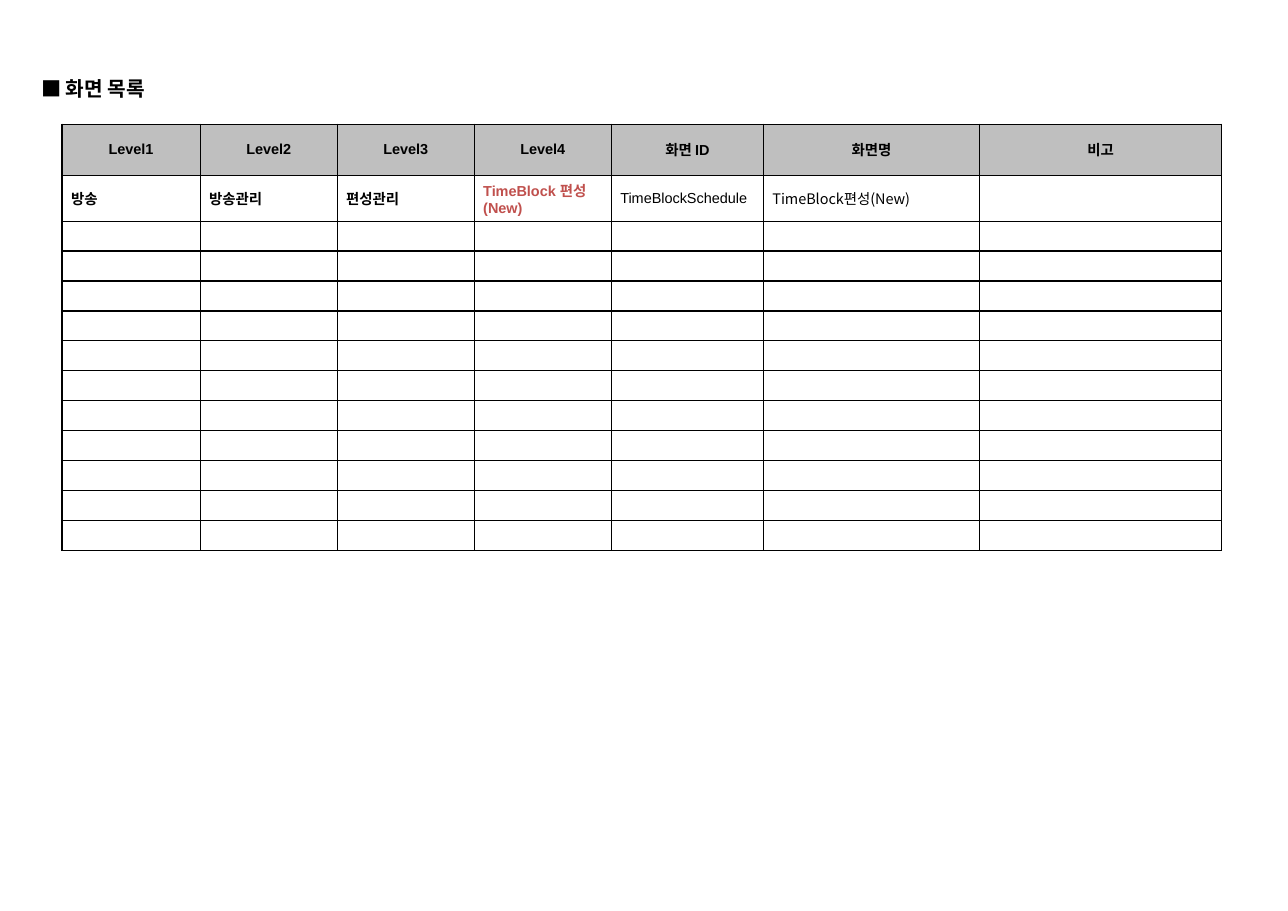
from dataclasses import dataclass

from lxml.etree import SubElement
from pptx import Presentation
from pptx.dml.color import RGBColor
from pptx.enum.text import MSO_ANCHOR, MSO_AUTO_SIZE, PP_ALIGN
from pptx.oxml import parse_xml
from pptx.oxml.ns import nsdecls, qn
from pptx.util import Pt

EMU_PER_PX = 914400 / 104
LATIN = "Arial"
KOREAN = "Noto Sans CJK KR"
COLORS = {"ink": "000000", "header": "BFBFBF", "new": "C0504D"}
COLUMN_WIDTHS = [138, 137, 137, 137, 152, 216, 242]
HEADER_HEIGHT, ENTRY_HEIGHT = 51, 46
EMPTY_ROWS, EMPTY_ROWS_HEIGHT = 11, 329
HEADERS = ["Level1", "Level2", "Level3", "Level4", "화면 ID", "화면명", "비고"]


@dataclass(frozen=True)
class Entry:
    text: str
    color: str = "ink"
    bold: bool = True
    font: str = LATIN


SCREEN = [
    Entry("방송"),
    Entry("방송관리"),
    Entry("편성관리"),
    Entry("TimeBlock 편성(New)", color="new"),
    Entry("TimeBlockSchedule", bold=False),
    Entry("TimeBlock편성(New)", bold=False, font=KOREAN),
]


def px(length: int) -> int:
    return round(length * EMU_PER_PX)


def write(para, entry: Entry, size: int) -> None:
    para.text = entry.text
    font = para.font
    font.size = Pt(size)
    font.bold = entry.bold
    font.color.rgb = RGBColor.from_string(COLORS[entry.color])
    font.name = entry.font
    SubElement(font._rPr, qn("a:ea"), typeface=KOREAN)


def add_borders(cell) -> None:
    properties = cell._tc.get_or_add_tcPr()
    for index, side in enumerate(("lnL", "lnR", "lnT", "lnB")):
        border = parse_xml(
            f'<a:{side} {nsdecls("a")} w="{Pt(1)}"><a:solidFill>'
            f'<a:srgbClr val="{COLORS["ink"]}"/></a:solidFill></a:{side}>'
        )
        properties.insert(index, border)


def format_cell(cell) -> None:
    cell.vertical_anchor = MSO_ANCHOR.MIDDLE
    cell.margin_left = cell.margin_right = px(9)
    cell.margin_top = cell.margin_bottom = px(4)
    cell.fill.background()
    add_borders(cell)
    end = cell.text_frame.paragraphs[0]._p.get_or_add_endParaRPr()
    end.set("sz", "1000")


def add_title(page) -> None:
    box = page.shapes.add_textbox(px(29), px(70), px(140), px(36))
    frame = box.text_frame
    frame.word_wrap = False
    frame.auto_size = MSO_AUTO_SIZE.SHAPE_TO_FIT_TEXT
    frame.margin_left = frame.margin_right = px(12)
    frame.margin_top = frame.margin_bottom = px(6)
    write(frame.paragraphs[0], Entry("■ 화면 목록", font=KOREAN), 14)


def add_screen_table(page) -> None:
    row_heights = [px(HEADER_HEIGHT), px(ENTRY_HEIGHT)]
    row_heights += [px(EMPTY_ROWS_HEIGHT) // EMPTY_ROWS] * EMPTY_ROWS
    table = page.shapes.add_table(
        len(row_heights), len(COLUMN_WIDTHS),
        px(62), px(124), px(sum(COLUMN_WIDTHS)), sum(row_heights),
    ).table
    table.first_row = table.horz_banding = False
    for column, width in zip(table.columns, COLUMN_WIDTHS):
        column.width = px(width)
    for row, height in zip(table.rows, row_heights):
        row.height = height
    for cell in table.iter_cells():
        format_cell(cell)
    for column, header in enumerate(HEADERS):
        cell = table.cell(0, column)
        cell.fill.solid()
        cell.fill.fore_color.rgb = RGBColor.from_string(COLORS["header"])
        para = cell.text_frame.paragraphs[0]
        para.alignment = PP_ALIGN.CENTER
        write(para, Entry(header), 10)
    for column, entry in enumerate(SCREEN):
        write(table.cell(1, column).text_frame.paragraphs[0], entry, 10)


def main() -> None:
    deck = Presentation()
    deck.slide_width, deck.slide_height = px(1287), px(910)
    page = deck.slides.add_slide(deck.slide_layouts[6])
    add_screen_table(page)
    add_title(page)
    deck.save("out.pptx")


if __name__ == "__main__":
    main()
